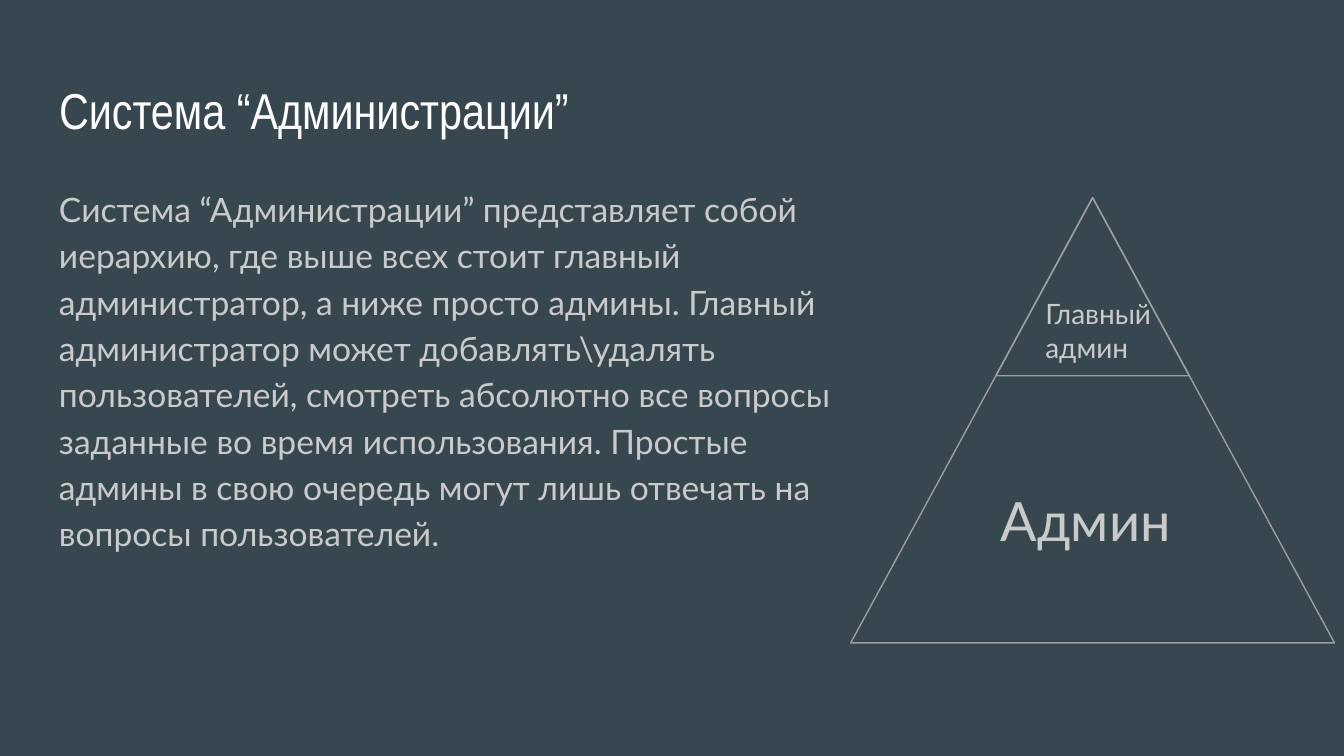
from pptx import Presentation
from pptx.dml.color import RGBColor
from pptx.enum.shapes import MSO_SHAPE as Preset
from pptx.enum.text import MSO_ANCHOR as Anchor
from pptx.util import Inches, Pt

# A 16:9 slide in inches; all places below are percentages of it
WIDTH = 10
HEIGHT = WIDTH * 9 / 16
LEFT = 3.41
INSET = Inches(0.1)

SLATE = RGBColor(0x37, 0x47, 0x4F)
WHITE = RGBColor(0xFF, 0xFF, 0xFF)
LIGHT_GREY = RGBColor(0xCA, 0xCA, 0xCA)
LINE_GREY = RGBColor(0x9E, 0x9E, 0x9E)

TITLE = "Система “Администрации”"
BODY = (
    "Система “Администрации” представляет собой иерархию, где выше всех "
    "стоит главный администратор, а ниже просто админы. Главный администратор "
    "может добавлять\\удалять пользователей, смотреть абсолютно все вопросы "
    "заданные во время использования. Простые админы в свою очередь могут "
    "лишь отвечать на вопросы пользователей."
)

# Pyramid: the top tier shares the apex and scales the whole outline
APEX_X, APEX_Y = 81.3, 26.15
PYRAMID_WIDTH, PYRAMID_HEIGHT = 36, 58.9
TIER_SCALES = (1, 0.4)


def place(left, top, width, height):
    """Turn percentages of the slide into lengths."""
    return (
        Inches(WIDTH * left / 100),
        Inches(HEIGHT * top / 100),
        Inches(WIDTH * width / 100),
        Inches(HEIGHT * height / 100),
    )


def add_text(page, area, text, size, font="Lato", color=LIGHT_GREY):
    """Add a wrapped text box and return its paragraph."""
    frame = page.shapes.add_textbox(*place(*area)).text_frame
    frame.word_wrap = True
    frame.vertical_anchor = Anchor.TOP
    frame.margin_left = frame.margin_right = INSET
    frame.margin_top = frame.margin_bottom = INSET
    para = frame.paragraphs[0]
    para.text = text
    para.font.size = Pt(size)
    para.font.name = font
    para.font.color.rgb = color
    return para


def add_tier(group, scale):
    """Add an outlined triangle hanging from the common apex."""
    width, height = PYRAMID_WIDTH * scale, PYRAMID_HEIGHT * scale
    area = place(APEX_X - width / 2, APEX_Y, width, height)
    tier = group.shapes.add_shape(Preset.ISOSCELES_TRIANGLE, *area)
    tier.shadow.inherit = False
    tier.fill.background()
    tier.line.color.rgb = LINE_GREY
    tier.line.width = Pt(0.75)


def main():
    deck = Presentation()
    deck.slide_width, deck.slide_height = Inches(WIDTH), Inches(HEIGHT)
    page = deck.slides.add_slide(deck.slide_layouts[6])
    page.background.fill.solid()
    page.background.fill.fore_color.rgb = SLATE

    # Title and description
    add_text(page, (LEFT, 8.7, 93.2, 11.2), TITLE, 27, "Arial Narrow", WHITE)
    body = add_text(page, (LEFT, 22.4, 63, 66.5), BODY, 18)
    body.line_spacing = 1.15
    body.space_after = Pt(12)

    # Hierarchy pyramid
    pyramid = page.shapes.add_group_shape()
    for scale in TIER_SCALES:
        add_tier(pyramid, scale)

    # Tier labels
    add_text(page, (76.8, 37.5, 13, 12.6), "Главный админ", 15)
    add_text(page, (73.45, 62.65, 24.6, 12.3), "Админ", 29)

    deck.save("out.pptx")


if __name__ == "__main__":
    main()
